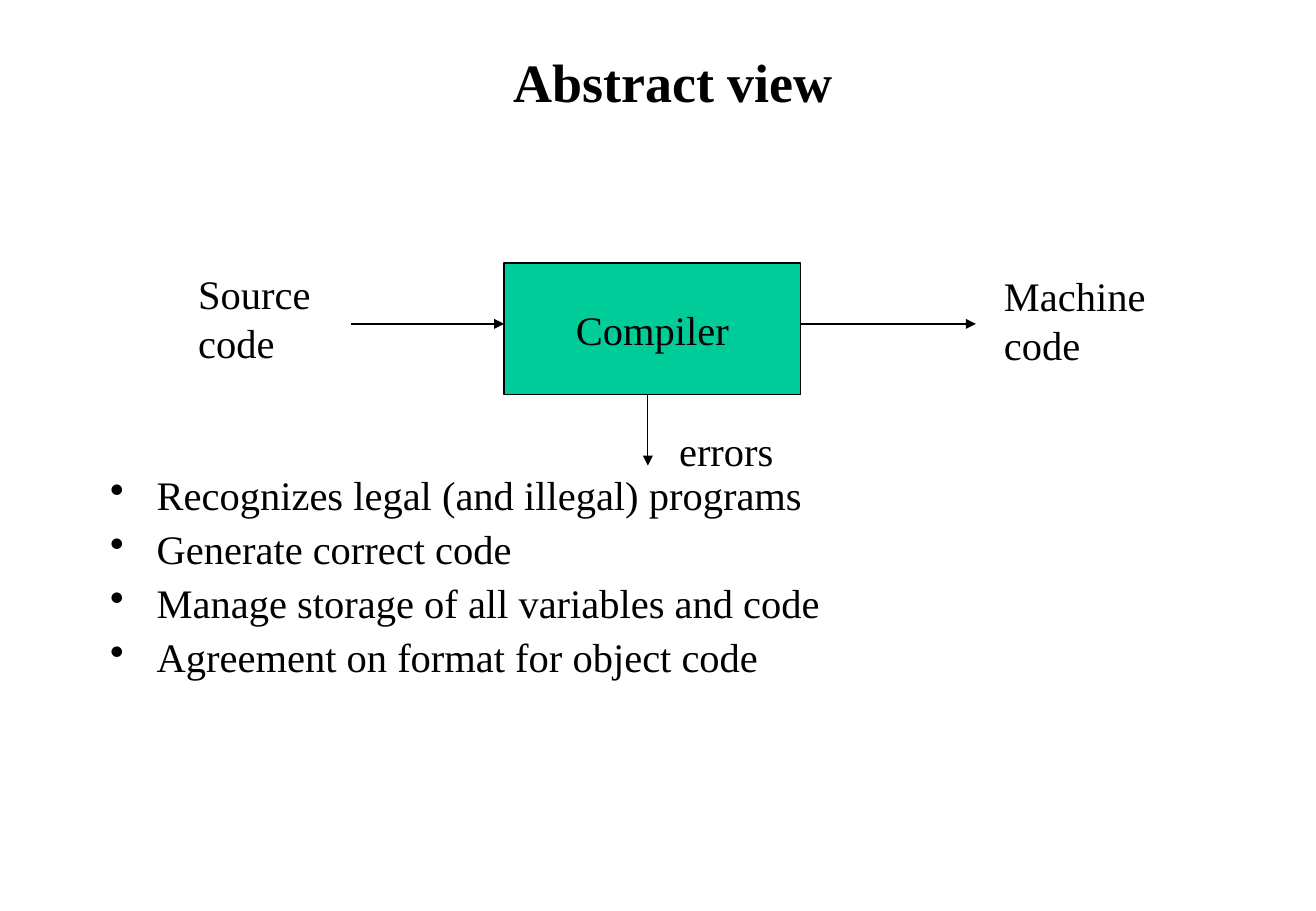
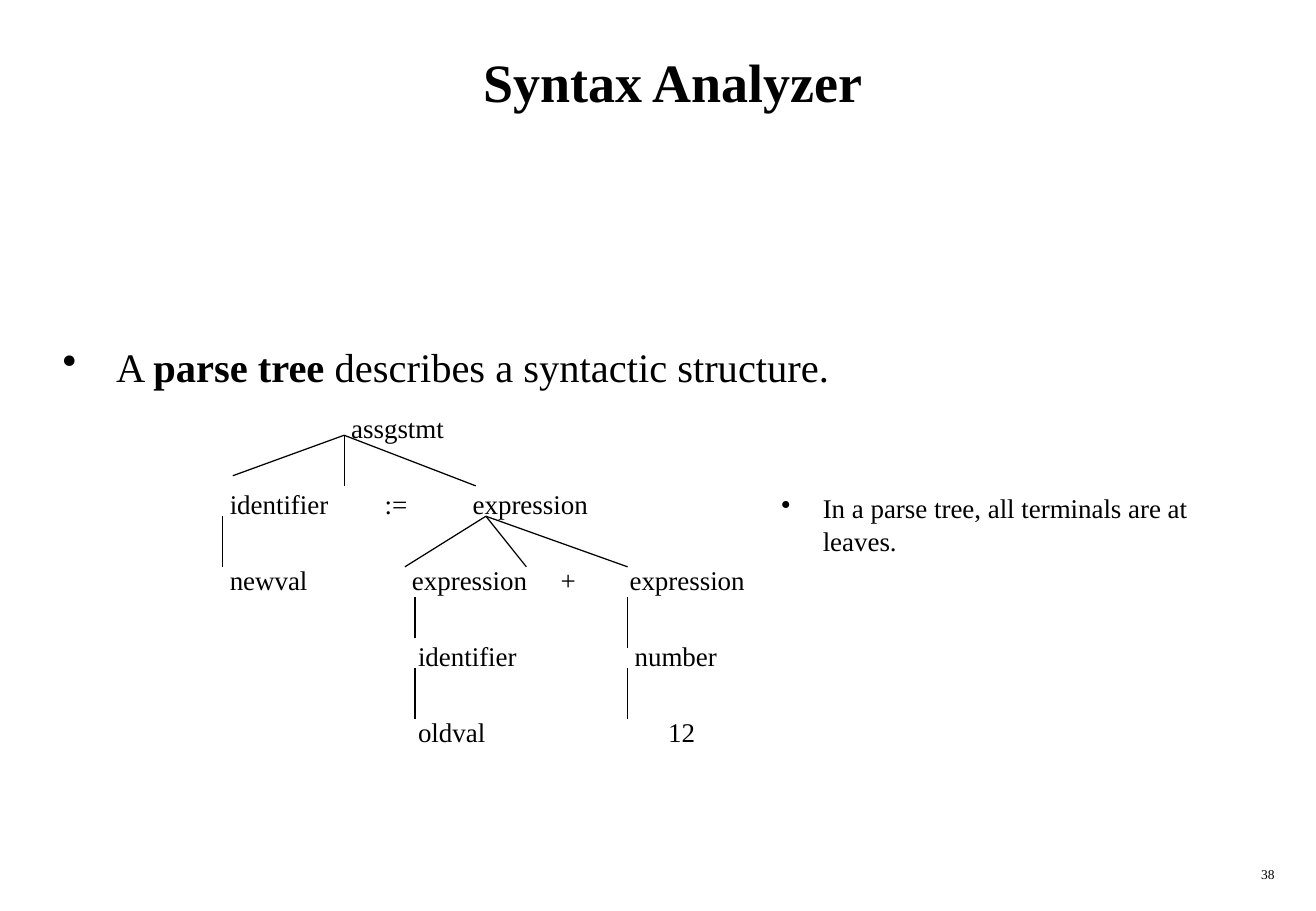
from dataclasses import dataclass, field
from typing import NamedTuple

from lxml import etree
from pptx import Presentation
from pptx.dml.color import RGBColor
from pptx.enum import shapes, text
from pptx.oxml import ns
from pptx.util import Emu, Pt

EMU_PER_PX = 7620  # 120 px to the inch


@dataclass(frozen=True)
class Theme:
    font: str = "Times New Roman"
    ink: RGBColor = RGBColor(0, 0, 0)
    box_fill: RGBColor = RGBColor(0x00, 0xCC, 0x99)
    title: int = 32
    body: int = 24
    small: int = 16
    number: int = 8
    line_width: float = 0.75


THEME = Theme()


class Box(NamedTuple):
    left: int
    top: int
    width: int
    height: int


class Span(NamedTuple):
    text: str
    bold: bool = False


class Line(NamedTuple):
    x1: int
    y1: int
    x2: int
    y2: int


class Node(NamedTuple):
    text: str
    left: int
    row: int


@dataclass(frozen=True)
class Style:
    """How one block of text is set."""
    size: int = THEME.body
    bold: bool = False
    indent: int = 0  # px; any indent brings a hanging bullet
    frame: dict = field(default_factory=dict)
    paragraph: dict = field(default_factory=dict)
    space_before: int = 0


CENTER = {"alignment": text.PP_ALIGN.CENTER}
MIDDLE = {"vertical_anchor": text.MSO_ANCHOR.MIDDLE}
NO_INSETS = dict.fromkeys(
    ("margin_left", "margin_right", "margin_top", "margin_bottom"), 0)

PLAIN = Style()
TITLE = Style(THEME.title, bold=True, frame=MIDDLE, paragraph=CENTER)
BOX_LABEL = Style(frame=MIDDLE, paragraph=CENTER)
BULLETS = Style(indent=46, paragraph={"line_spacing": 0.9}, space_before=6)
SENTENCE = Style(indent=53)
NOTE = Style(THEME.small, indent=41)
NODE = Style(THEME.small, frame=NO_INSETS)
NUMBER = Style(THEME.number, paragraph={"alignment": text.PP_ALIGN.RIGHT})


def px(length: int) -> Emu:
    return Emu(length * EMU_PER_PX)


def apply(target, values: dict) -> None:
    for name, value in values.items():
        setattr(target, name, value)


def add_bullet(paragraph, indent: int) -> None:
    properties = paragraph._p.get_or_add_pPr()
    properties.set("marL", str(px(indent)))
    properties.set("indent", str(-px(indent)))
    etree.SubElement(properties, ns.qn("a:buChar")).set("char", "•")


def fill_text(frame, paragraphs: list[list[Span]], style: Style) -> None:
    apply(frame, {"word_wrap": True, **style.frame})
    for index, spans in enumerate(paragraphs):
        paragraph = frame.add_paragraph() if index else frame.paragraphs[0]
        if style.indent:
            add_bullet(paragraph, style.indent)
        apply(paragraph, style.paragraph)
        if index and style.space_before:
            paragraph.space_before = Pt(style.space_before)
        for span in spans:
            run = paragraph.add_run()
            run.text = span.text
            apply(run.font, {"name": THEME.font, "size": Pt(style.size),
                             "bold": style.bold or span.bold})
            run.font.color.rgb = THEME.ink


def add_text(slide, box: Box, lines: list[str], style: Style = PLAIN) -> None:
    shape = slide.shapes.add_textbox(*map(px, box))
    fill_text(shape.text_frame, [[Span(line)] for line in lines], style)


def style_line(line) -> None:
    line.color.rgb = THEME.ink
    line.width = Pt(THEME.line_width)


def add_line(slide, ends: Line, arrow: bool = False) -> None:
    connector = slide.shapes.add_connector(
        shapes.MSO_CONNECTOR.STRAIGHT, *map(px, ends))
    style_line(connector.line)
    properties = connector._element.spPr
    if arrow:
        outline = properties.find(ns.qn("a:ln"))
        etree.SubElement(outline, ns.qn("a:tailEnd")).set("type", "triangle")
    etree.SubElement(properties, ns.qn("a:effectLst"))


def add_slide(presentation, title: str):
    slide = presentation.slides.add_slide(presentation.slide_layouts[6])
    add_text(slide, Box(50, 20, 1230, 120), [title], TITLE)
    return slide


def build_abstract_view(presentation) -> None:
    slide = add_slide(presentation, "Abstract view")
    add_text(slide, Box(97, 464, 1105, 338), [
        "Recognizes legal (and illegal) programs",
        "Generate correct code",
        "Manage storage of all variables and code",
        "Agreement on format for object code",
    ], BULLETS)

    # Compiler with its input and outputs
    compiler = slide.shapes.add_shape(
        shapes.MSO_SHAPE.RECTANGLE, *map(px, Box(498, 260, 293, 130)))
    compiler.shadow.inherit = False
    compiler.fill.solid()
    compiler.fill.fore_color.rgb = THEME.box_fill
    style_line(compiler.line)
    fill_text(compiler.text_frame, [[Span("Compiler")]], BOX_LABEL)

    for ends in (Line(347, 320, 498, 320), Line(791, 320, 964, 320),
                 Line(640, 390, 640, 460)):
        add_line(slide, ends, arrow=True)
    add_text(slide, Box(184, 260, 160, 109), ["Source", "code"])
    add_text(slide, Box(980, 262, 180, 109), ["Machine", "code"])
    add_text(slide, Box(659, 415, 140, 61), ["errors"])


TREE_TOP = 407
ROW_PITCH = 75
TREE_NODES = (
    Node("assgstmt", 347, 0),
    Node("identifier", 227, 1), Node(":=", 380, 1), Node("expression", 467, 1),
    Node("newval", 227, 2), Node("expression", 407, 2), Node("+", 554, 2),
    Node("expression", 622, 2),
    Node("identifier", 413, 3), Node("number", 627, 3),
    Node("oldval", 413, 4), Node("12", 660, 4),
)
# Each parent point with the points its branches reach
TREE_BRANCHES = {
    (340, 430): [(230, 470), (340, 480), (470, 480)],
    (220, 510): [(220, 560)],
    (480, 510): [(400, 560), (520, 560), (620, 560)],
    (410, 590): [(410, 630)],
    (410, 660): [(410, 710)],
    (620, 590): [(620, 640)],
    (620, 660): [(620, 710)],
}


def build_syntax_analyzer(presentation) -> None:
    slide = add_slide(presentation, "Syntax Analyzer")
    sentence = slide.shapes.add_textbox(*map(px, Box(50, 332, 1230, 60)))
    fill_text(sentence.text_frame, [[
        Span("A "), Span("parse tree", bold=True),
        Span(" describes a syntactic structure."),
    ]], SENTENCE)

    # Parse tree
    for node in TREE_NODES:
        top = TREE_TOP + node.row * ROW_PITCH
        add_text(slide, Box(node.left, top, 130, 31), [node.text], NODE)
    for parent, children in TREE_BRANCHES.items():
        for child in children:
            add_line(slide, Line(*parent, *child))

    # Side note and slide number
    add_text(slide, Box(760, 480, 494, 80),
             ["In a parse tree, all terminals are at leaves."], NOTE)
    add_text(slide, Box(1000, 850, 271, 30), ["38"], NUMBER)


def main() -> None:
    presentation = Presentation()
    apply(presentation, {"slide_width": px(1300), "slide_height": px(900)})
    build_abstract_view(presentation)
    build_syntax_analyzer(presentation)
    presentation.save("out.pptx")


if __name__ == "__main__":
    main()
